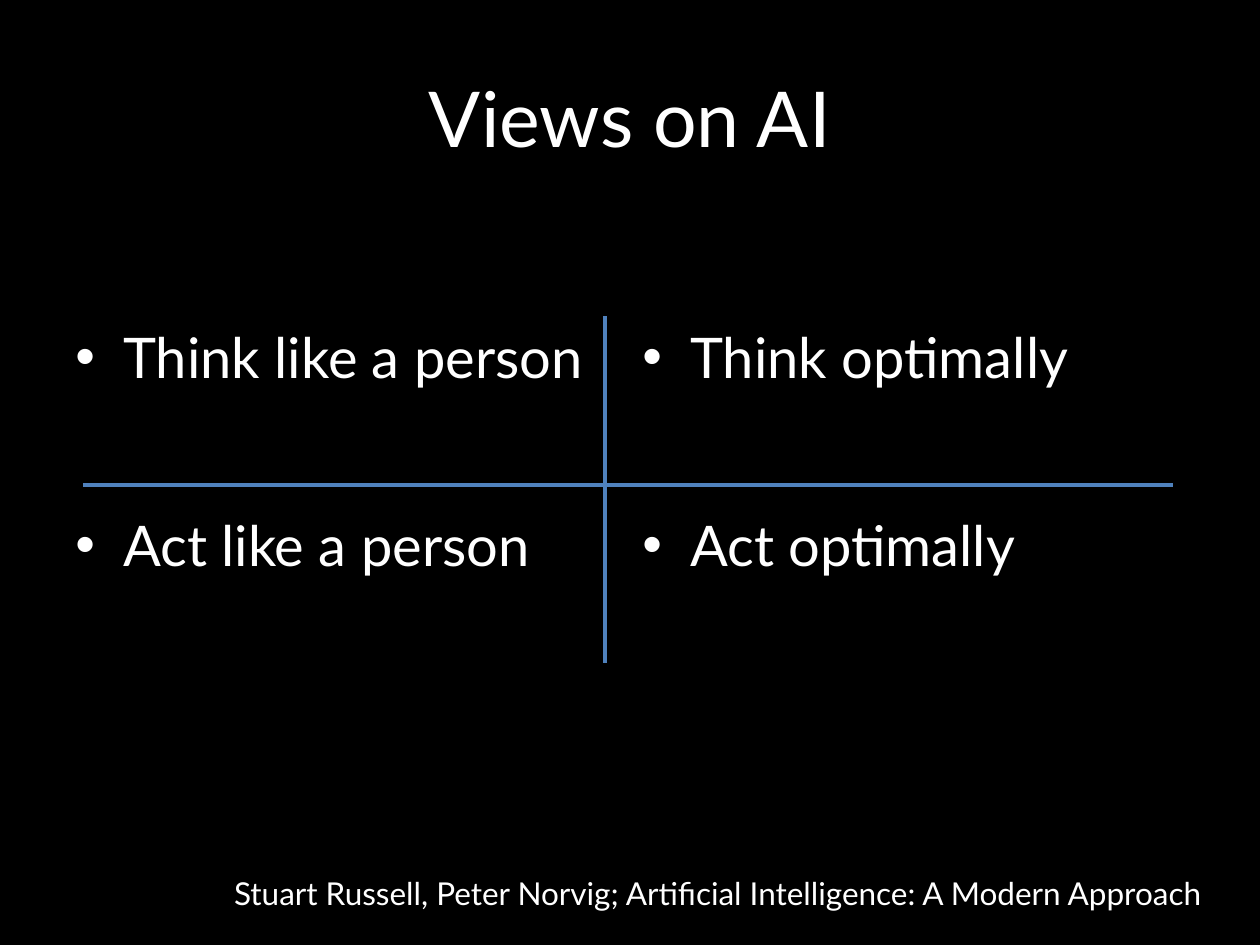
from lxml.etree import SubElement
from pptx import Presentation
from pptx.dml.color import RGBColor
from pptx.enum.shapes import MSO_CONNECTOR
from pptx.enum.text import MSO_ANCHOR, PP_ALIGN
from pptx.oxml.ns import qn
from pptx.util import Inches, Pt

BLACK = RGBColor(0x00, 0x00, 0x00)
WHITE = RGBColor(0xFF, 0xFF, 0xFF)
BLUE = RGBColor(0x4F, 0x81, 0xBD)
FONT = "Lato"


def add_text(left, top, width, height, text, size, bullet=False):
    box = slide.shapes.add_textbox(
        Inches(left), Inches(top), Inches(width), Inches(height))
    frame = box.text_frame
    frame.word_wrap = True
    frame.text = text
    paragraph = frame.paragraphs[0]
    if bullet:
        properties = paragraph._p.get_or_add_pPr()
        properties.set("marL", str(Inches(0.38)))
        properties.set("indent", str(-Inches(0.38)))
        SubElement(properties, qn("a:buFont"), typeface="Arial")
        SubElement(properties, qn("a:buChar"), char="•")
    font = paragraph.runs[0].font
    font.name = FONT
    font.size = Pt(size)
    font.color.rgb = WHITE
    return frame


presentation = Presentation()
presentation.slide_width = Inches(10)
presentation.slide_height = Inches(7.5)
slide = presentation.slides.add_slide(presentation.slide_layouts[6])
slide.background.fill.solid()
slide.background.fill.fore_color.rgb = BLACK

title = add_text(0.5, 0.3, 9, 1.25, "Views on AI", 44)
title.vertical_anchor = MSO_ANCHOR.MIDDLE
title.paragraphs[0].alignment = PP_ALIGN.CENTER

# Two by two grid of views
views = [
    ["Think like a person", "Think optimally"],
    ["Act like a person", "Act optimally"],
]
cell_width, cell_height = 4.5, 1.49
for row, row_views in enumerate(views):
    for column, view in enumerate(row_views):
        add_text(0.5 + column * cell_width, 2.51 + row * cell_height,
                 cell_width, cell_height, view, 32, bullet=True)

add_text(1.76, 6.89, 8.1, 0.4,
         "Stuart Russell, Peter Norvig; Artificial Intelligence: A Modern Approach", 18)

# Dividers between the rows and the columns
for ends in [(0.66, 3.85, 9.31, 3.85), (4.8, 2.51, 4.8, 5.26)]:
    divider = slide.shapes.add_connector(
        MSO_CONNECTOR.STRAIGHT, *[Inches(value) for value in ends])
    divider.line.color.rgb = BLUE
    divider.line.width = Pt(2)
    SubElement(divider._element.spPr, qn("a:effectLst"))

presentation.save("out.pptx")
